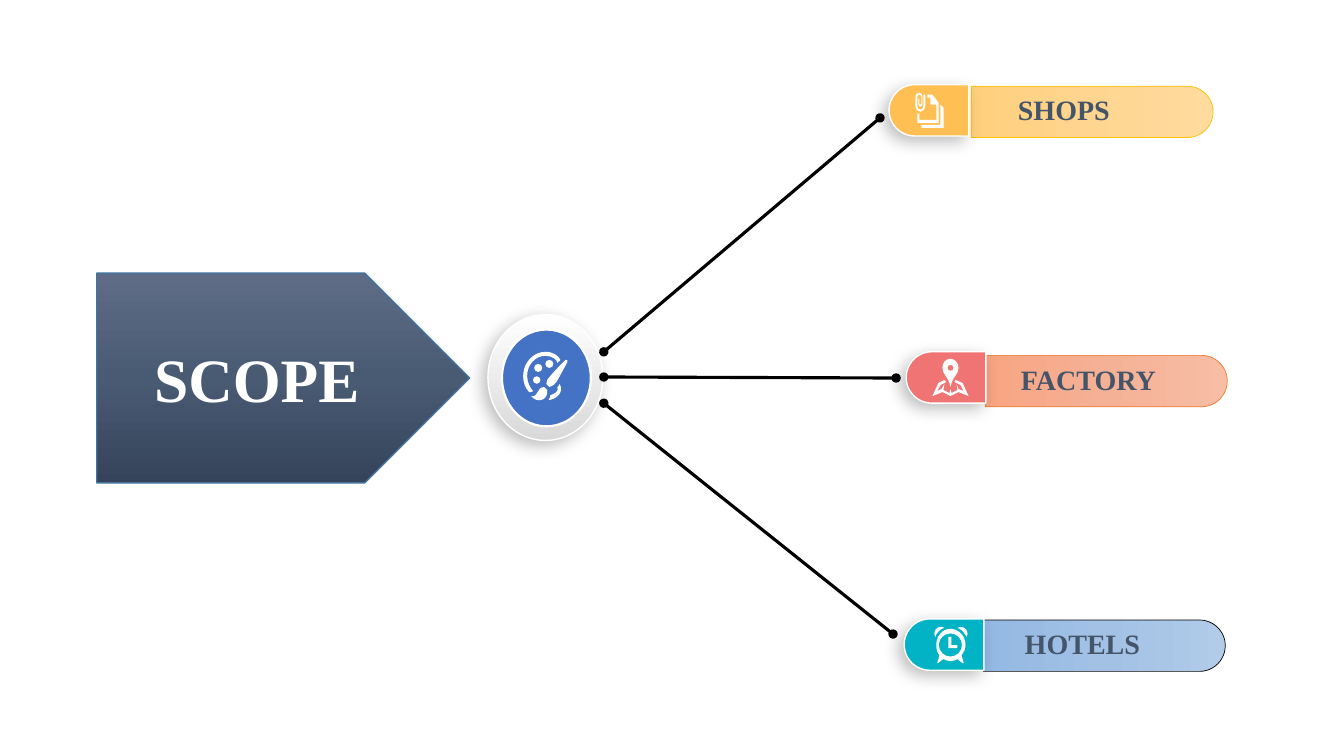
from lxml.etree import SubElement
from pptx import Presentation
from pptx.dml.color import RGBColor
from pptx.enum.shapes import MSO_CONNECTOR as Link, MSO_SHAPE as Preset
from pptx.enum.text import MSO_ANCHOR as Anchor, PP_ALIGN as Align
from pptx.oxml.ns import qn
from pptx.util import Pt

THEME = {
    "font": "Times New Roman", "title_size": 44, "label_size": 20,
    "white": "FFFFFF", "label": "445469", "link": "000000", "shadow": "000000",
    "plate": ("5E6D85", "495A73", "35445A"), "plate_line": "43739E",
    "ring": ("FFFFFF", "D9D9D9"), "hub": "4472C4",
}

PALETTE_ICON = [
    "O 13.5 28 3.7", "O 15 16 4", "O 26 12 4",
    "M 8 44 C 16 45 13 35 21 35 L 24 38 C 25 49 13 51 8 44",
    "M 33 30 C 36 25 44 10 44 10 C 45 9 43 7 42 8 C 42 8 30 20 27 24 "
    "C 24 26 24 28 23 32 L 26 35 C 30 33 31 33 33 30",
    "M 10 39 C 7 36 4 30 4 24 C 4 13 12 4 22 4 C 29 4 34 8 34 11 L 37 8 "
    "C 35 4 30 0 22 0 C 10 0 0 11 0 24 C 0 30 2 36 6 40 C 7 41 9 39 10 39",
    "M 34 35 C 36 39 31 42 27 43 C 27 45 26 47 25 48 C 34 47 41 39 36 32 C 35 34 35 35 34 35",
]
FILES_ICON = [
    "M 17 2 L 12 2 L 12 5 L 15 5 L 15 12 L 21 12 L 21 27 L 4 27 L 4 21 "
    "C 3 21 2 21 2 20 L 2 30 L 23 30 L 23 10",
    "M 10 2 L 8 2 L 8 13 C 8 15 7 17 5 17 C 3 17 2 15 2 13 L 2 4 C 2 3 3 2 4 2 "
    "C 5 2 6 3 6 4 L 6 11 C 6 12 5 12 5 12 C 5 12 4 12 4 11 L 4 6 L 3 6 L 3 11 "
    "C 3 13 4 14 5 14 C 6 14 7 13 7 11 L 7 4 C 7 2 6 0 4 0 C 2 0 0 2 0 4 "
    "L 0 13 C 0 16 2 19 5 19 C 8 19 10 16 10 13",
    "M 25 12 L 25 32 L 6 32 L 6 35 L 28 35 L 28 15",
]
MAP_ICON = [
    "M 18 0 C 13 0 10 4 10 9 C 10 16 16 17 18 28 C 20 17 26 16 26 9 C 26 4 22 0 18 0",
    "O 18 9 3",
    "M 36 37 L 26 33 L 18 37 L 10 33 L 0 37 L 6 24 L 12 21 L 14 23 L 8 26 L 5 32 L 9 30 "
    "L 12 25 L 11 31 L 17 34 L 18 30 L 19 34 L 25 31 L 24 25 L 26 30 L 31 32 L 28 26 "
    "L 22 23 L 23 21 L 30 24",
]
CLOCK_ICON = [
    "M 23 21 L 14 21 L 14 10 L 17 10 L 17 18 L 23 18",
    "M 27 28 C 29 26 31 22 31 18 C 31 9 24 2 16 2 C 8 2 2 9 2 18 C 2 22 3 26 5 28 "
    "C 5 30 4 33 3 35 L 3 36 L 4 36 C 5 34 8 33 9 32 C 11 33 14 34 16 34 "
    "C 19 34 21 33 23 32 L 28 36 L 29 36 L 29 35",
    "O 16 18 11.5",
    "M 10 1 C 9 0 7 0 6 0 C 3 0 0 3 0 7 C 0 8 0 9 1 10 C 2 6 6 2 10 1",
    "M 32 10 C 32 9 33 8 33 7 C 33 3 30 0 26 0 C 25 0 24 0 23 1 C 27 2 30 6 32 10",
]

TITLE = "SCOPE"
BRANCHES = [
    {"label": "SHOPS", "label_at": (691.9, 66.2), "inset": 35.2,
     "bar": (780.1, 79.9), "tab": (663.5, 78.8),
     "icon": FILES_ICON, "icon_at": (653.8, 66.2), "link": ((628.6, 84.2), (431.3, 251.3)),
     "shades": ("FFDB9E", "FFD590", "FFD07C"), "edge": "FFC000", "color": "FFBF53"},
    {"label": "FACTORY", "label_at": (714.2, 259.2), "inset": 15,
     "bar": (790.2, 272.2), "tab": (675.7, 269.6),
     "icon": MAP_ICON, "icon_at": (666, 256.3), "link": ((640.1, 270), (431.3, 269.3)),
     "shades": ("F7BDA5", "F5B196", "F8A582"), "edge": "ED7D31", "color": "F07474"},
    {"label": "HOTELS", "label_at": (707, 447.8), "inset": 25,
     "bar": (788.8, 461.2), "tab": (674.3, 460.4),
     "icon": CLOCK_ICON, "icon_at": (667.4, 447.8), "link": ((431.3, 288), (637.9, 452.9)),
     "shades": ("B1CBE9", "A3C1E5", "93B9E4"), "edge": "000000", "color": "02B3C5"},
]
PILL_HEIGHT, BAR_LENGTH, TAB_LENGTH = 36.7, 172.8, 56.9
LABEL_WIDTH, LABEL_HEIGHT = 177.1, 30.2
ICON_UNIT, ICON_GRID, ROUNDNESS = 0.72, 100, 0.55


def rgb(code):
    return RGBColor.from_string(code)


def shade(shape, colors, angle):
    shape.fill.gradient()
    shape.fill.gradient_angle = angle
    stops = shape._element.spPr.find(qn("a:gradFill")).find(qn("a:gsLst"))
    for stop in list(stops):
        stops.remove(stop)
    for index, color in enumerate(colors):
        stop = SubElement(stops, qn("a:gs"), pos=str(100000 * index // (len(colors) - 1)))
        SubElement(stop, qn("a:srgbClr"), val=color)


def add_preset(page, preset, frame, fill, line, width, rotation=0, angle=270, shadow=False):
    shape = page.shapes.add_shape(preset, *map(Pt, frame))
    shape.rotation = rotation
    shape.shadow.inherit = False
    if isinstance(fill, tuple):
        shade(shape, fill, angle)
    else:
        shape.fill.solid()
        shape.fill.fore_color.rgb = rgb(fill)
    shape.line.color.rgb = rgb(line)
    shape.line.width = Pt(width)
    if shadow:
        effects = shape._element.spPr.find(qn("a:effectLst"))
        outer = SubElement(effects, qn("a:outerShdw"), blurRad=str(Pt(12)), dist=str(Pt(5)),
                           dir="8100000", algn="ctr", rotWithShape="0")
        color = SubElement(outer, qn("a:srgbClr"), val=THEME["shadow"])
        SubElement(color, qn("a:alpha"), val="26000")
    return shape


def add_pill(page, center, length, rotation, *style, **options):
    x, y = center
    frame = (x - PILL_HEIGHT / 2, y - length / 2, PILL_HEIGHT, length)
    pill = add_preset(page, Preset.ROUND_2_SAME_RECTANGLE, frame, *style,
                      rotation=rotation, **options)
    pill.adjustments[0], pill.adjustments[1] = 0.5, 0


def circle(x, y, radius):
    bend = radius * ROUNDNESS
    return [[(x + radius, y)],
            [(x + radius, y + bend), (x + bend, y + radius), (x, y + radius)],
            [(x - bend, y + radius), (x - radius, y + bend), (x - radius, y)],
            [(x - radius, y - bend), (x - bend, y - radius), (x, y - radius)],
            [(x + bend, y - radius), (x + radius, y - bend), (x + radius, y)]]


def outline(contour):
    segments, tokens = [], contour.split()
    sizes = {"M": 2, "L": 2, "C": 6, "O": 3}
    while tokens:
        command = tokens.pop(0)
        count = sizes[command]
        values, tokens = list(map(float, tokens[:count])), tokens[count:]
        if command == "O":
            segments += circle(*values)
        else:
            segments.append(list(zip(values[::2], values[1::2])))
    return [[(round(x * ICON_GRID), round(y * ICON_GRID)) for x, y in segment]
            for segment in segments]


def add_icon(page, contours, place):
    outlines = [outline(contour) for contour in contours]
    ends = [[segment[-1] for segment in segments] for segments in outlines]
    builder = page.shapes.build_freeform(*ends[0][0], scale=Pt(ICON_UNIT) / ICON_GRID)
    for index, points in enumerate(ends):
        if index:
            builder.move_to(*points[0])
        builder.add_line_segments(points[1:], close=True)
    icon = builder.convert_to_shape(*map(Pt, place))
    left, top = (min(point[axis] for points in ends for point in points) for axis in (0, 1))
    steps = [segment for segments in outlines for segment in segments[1:]]
    for step, segment in zip(list(icon._element.iter(qn("a:lnTo"))), steps):
        if len(segment) == 3:
            step.tag = qn("a:cubicBezTo")
            step.remove(step[0])
            for x, y in segment:
                SubElement(step, qn("a:pt"), x=str(x - left), y=str(y - top))
    icon.shadow.inherit = False
    icon.fill.solid()
    icon.fill.fore_color.rgb = rgb(THEME["white"])
    icon.line.fill.background()


def add_link(page, start, end):
    link = page.shapes.add_connector(Link.STRAIGHT, *map(Pt, start + end))
    link.line.color.rgb = rgb(THEME["link"])
    link.line.width = Pt(2.25)
    line = link.line._get_or_add_ln()
    for tip in ("a:headEnd", "a:tailEnd"):
        SubElement(line, qn(tip), type="oval")
    SubElement(link._element.spPr, qn("a:effectLst"))


def write(frame, text, size, color, align):
    frame.text = text
    para = frame.paragraphs[0]
    para.alignment = align
    font = para.runs[0].font
    font.name, font.size, font.bold = THEME["font"], Pt(size), True
    font.color.rgb = rgb(color)


def add_label(page, text, place, inset):
    box = page.shapes.add_textbox(*map(Pt, place + (LABEL_WIDTH, LABEL_HEIGHT)))
    frame = box.text_frame
    frame.word_wrap = True
    frame.margin_left = Pt(inset)
    frame.margin_right = frame.margin_top = frame.margin_bottom = 0
    write(frame, text, THEME["label_size"], THEME["label"], Align.LEFT)


def main():
    deck = Presentation()
    deck.slide_width, deck.slide_height = Pt(960), Pt(540)
    page = deck.slides.add_slide(deck.slide_layouts[6])
    white = THEME["white"]
    for branch in BRANCHES:
        add_pill(page, branch["bar"], BAR_LENGTH, 90, branch["shades"], branch["edge"], 0.5)
    add_preset(page, Preset.OVAL, (348.5, 224.6, 82.1, 90), THEME["ring"], white, 1,
               rotation=180, angle=90, shadow=True)
    add_preset(page, Preset.OVAL, (358.6, 235.4, 63.4, 69.1), THEME["hub"], white, 1.5,
               rotation=180)
    add_icon(page, PALETTE_ICON, (373.7, 251.3))
    for branch in BRANCHES:
        add_pill(page, branch["tab"], TAB_LENGTH, 270, branch["color"], white, 1, shadow=True)
    for branch in BRANCHES:
        add_icon(page, branch["icon"], branch["icon_at"])
    for branch in BRANCHES:
        add_link(page, *branch["link"])
    for branch in BRANCHES:
        add_label(page, branch["label"], branch["label_at"], branch["inset"])
    plate = add_preset(page, Preset.PENTAGON, (69.1, 195.1, 266.4, 149.8), THEME["plate"],
                       THEME["plate_line"], 1)
    plate.text_frame.vertical_anchor = Anchor.MIDDLE
    write(plate.text_frame, TITLE, THEME["title_size"], white, Align.CENTER)
    deck.save("out.pptx")


if __name__ == "__main__":
    main()
